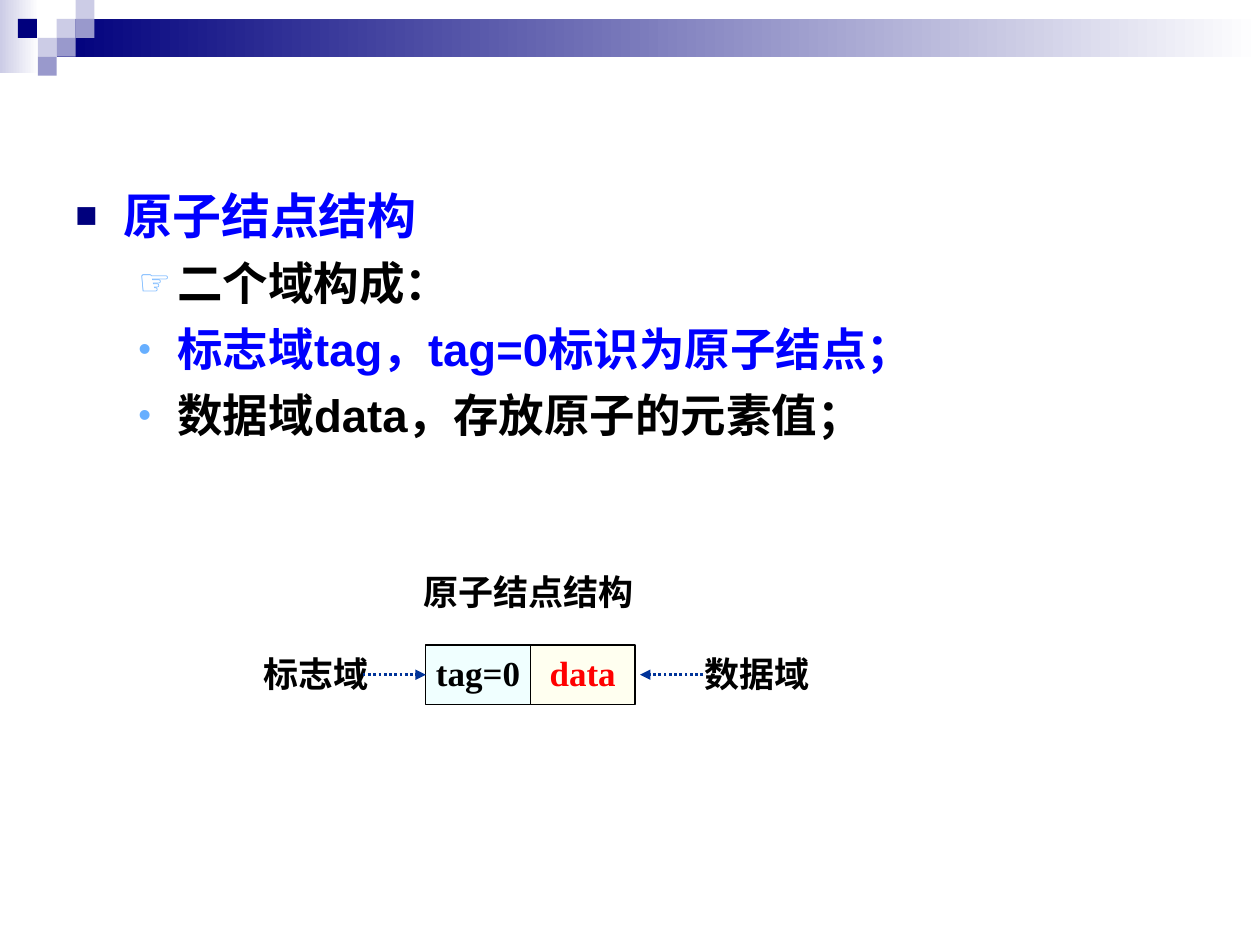
import pptx
import pptx.util
import pptx.dml.color
import pptx.enum.dml
import pptx.enum.shapes
import pptx.enum.text
import pptx.oxml
import pptx.oxml.ns
from lxml import etree

THEME = {
    "navy": "00007D", "lilac": "CCCCE6", "mauve": "9999CC", "sky": "67AFFF",
    "blue": "0000FF", "red": "FF0000", "black": "000000", "white": "FFFFFF",
    "ink": "003399", "ivory": "FFFFF0", "azure": "F0FFFF",
    "sans": "Arial", "serif": "Times New Roman",
    "head": 28, "item": 26, "note": 20,
}

WIDE, HIGH = 10, 7.5
UNIT = 0.15
BANDS = [(0, 0, 0.31, 0.58, "lilac"), (0.45, 0.15, 9.55, 0.3, "navy")]
TILES = [
    (3, 1, "lilac"), (4, 0, "lilac"), (4, 1, "mauve"), (2, 2, "lilac"),
    (0.95, 1, "navy"), (3, 2, "mauve"), (2, 3, "mauve"),
]
LEVELS = [
    {"left": 0.38, "hang": 0.38, "size": "head", "mark": "navy", "scale": 75, "gap": 0},
    {"left": 0.81, "hang": 0.31, "size": "item", "mark": "sky", "scale": 80, "gap": 6.5},
]
ITEMS = [
    (0, "■", "原子结点结构", "blue"),
    (1, "☞", "二个域构成：", "black"),
    (1, "•", "标志域tag，tag=0标识为原子结点；", "blue"),
    (1, "•", "数据域data，存放原子的元素值；", "black"),
]
CELLS = [("tag=0", "black", "azure"), ("data", "red", "ivory")]
NODE = {"left": 3.38, "top": 5.12, "wide": 0.83, "high": 0.47}
LABELS = [
    ("标志域", 1.67, 5.17, 1.67),
    ("数据域", 5.42, 5.17, 1.17),
    ("原子结点结构", 3.17, 4.52, 2.05),
]
ARROWS = [(2.88, 3.38), (5.58, 5.08)]

inch = pptx.util.Inches
RECT = pptx.enum.shapes.MSO_SHAPE.RECTANGLE
MID = pptx.enum.text.PP_ALIGN.CENTER


def tint(name):
    return pptx.dml.color.RGBColor.from_string(THEME[name])


def place(*box):
    return [inch(part) for part in box]


def add_rect(slide, box, fill):
    rect = slide.shapes.add_shape(RECT, *place(*box))
    rect.shadow.inherit = False
    rect.line.fill.background()
    rect.fill.solid()
    rect.fill.fore_color.rgb = tint(fill)
    return rect


def style(para, size, face, color):
    for run in para.runs:
        run.font.size = pptx.util.Pt(THEME[size])
        run.font.name = THEME[face]
        run.font.bold = True
        run.font.color.rgb = tint(color)


def add_node(parent, name, **attrs):
    return etree.SubElement(parent, pptx.oxml.ns.qn(name), **attrs)


def add_mark(para, mark, level):
    props = para._p.get_or_add_pPr()
    props.set("marL", str(inch(level["left"])))
    props.set("indent", str(-inch(level["hang"])))
    color = add_node(props, "a:buClr")
    add_node(color, "a:srgbClr", val=THEME[level["mark"]])
    add_node(props, "a:buSzPct", val=str(level["scale"] * 1000))
    add_node(props, "a:buFont", typeface=THEME["sans"])
    add_node(props, "a:buChar", char=mark)


def add_decor(slide):
    for left, top, wide, high, color in BANDS:
        band = add_rect(slide, (left, top, wide, high), color)
        band.fill.gradient()
        band.fill.gradient_angle = 0
        for stop, name, spot in zip(band.fill.gradient_stops, (color, "white"), (0, 1)):
            stop.color.rgb = tint(name)
            stop.position = spot
    for col, row, color in TILES:
        add_rect(slide, (col * UNIT, row * UNIT, UNIT, UNIT), color)


def add_body(slide):
    frame = slide.shapes.add_textbox(*place(0.5, 1.42, 9, 5.33)).text_frame
    frame.word_wrap = True
    frame.text = "\n".join(item[2] for item in ITEMS)
    for para, (depth, mark, _, color) in zip(frame.paragraphs, ITEMS):
        level = LEVELS[depth]
        para.level = depth
        add_mark(para, mark, level)
        para.space_before = pptx.util.Pt(level["gap"])
        style(para, level["size"], "sans", color)


def add_note(shape, text, color, wrap):
    frame = shape.text_frame
    frame.word_wrap = wrap
    frame.margin_top = inch(0.01)
    frame.text = text
    para = frame.paragraphs[0]
    para.alignment = MID
    style(para, "note", "serif", color)
    return frame


def add_arrow(slide, start, end, level):
    kind = pptx.enum.shapes.MSO_CONNECTOR.STRAIGHT
    arrow = slide.shapes.add_connector(kind, *place(start, level, end, level))
    arrow.line.color.rgb = tint("ink")
    arrow.line.width = pptx.util.Pt(1.5)
    arrow.line.dash_style = pptx.enum.dml.MSO_LINE.ROUND_DOT
    add_node(arrow.line._get_or_add_ln(), "a:tailEnd", type="triangle")
    add_node(arrow._element.spPr, "a:effectLst")


def add_figure(slide):
    for index, (text, color, fill) in enumerate(CELLS):
        left = NODE["left"] + index * NODE["wide"]
        cell = add_rect(slide, (left, NODE["top"], NODE["wide"], NODE["high"]), fill)
        cell.line.color.rgb = tint("black")
        cell.line.width = pptx.util.Pt(0.75)
        frame = add_note(cell, text, color, False)
        frame.vertical_anchor = pptx.enum.text.MSO_ANCHOR.MIDDLE
    for text, left, top, wide in LABELS:
        box = slide.shapes.add_textbox(*place(left, top, wide, 0.4))
        add_note(box, text, "black", True)
    for start, end in ARROWS:
        add_arrow(slide, start, end, NODE["top"] + NODE["high"] / 2)


def main():
    deck = pptx.Presentation()
    deck.slide_width, deck.slide_height = place(WIDE, HIGH)
    slide = deck.slides.add_slide(deck.slide_layouts[6])
    add_decor(slide)
    add_body(slide)
    add_figure(slide)
    deck.save("out.pptx")


if __name__ == "__main__":
    main()
